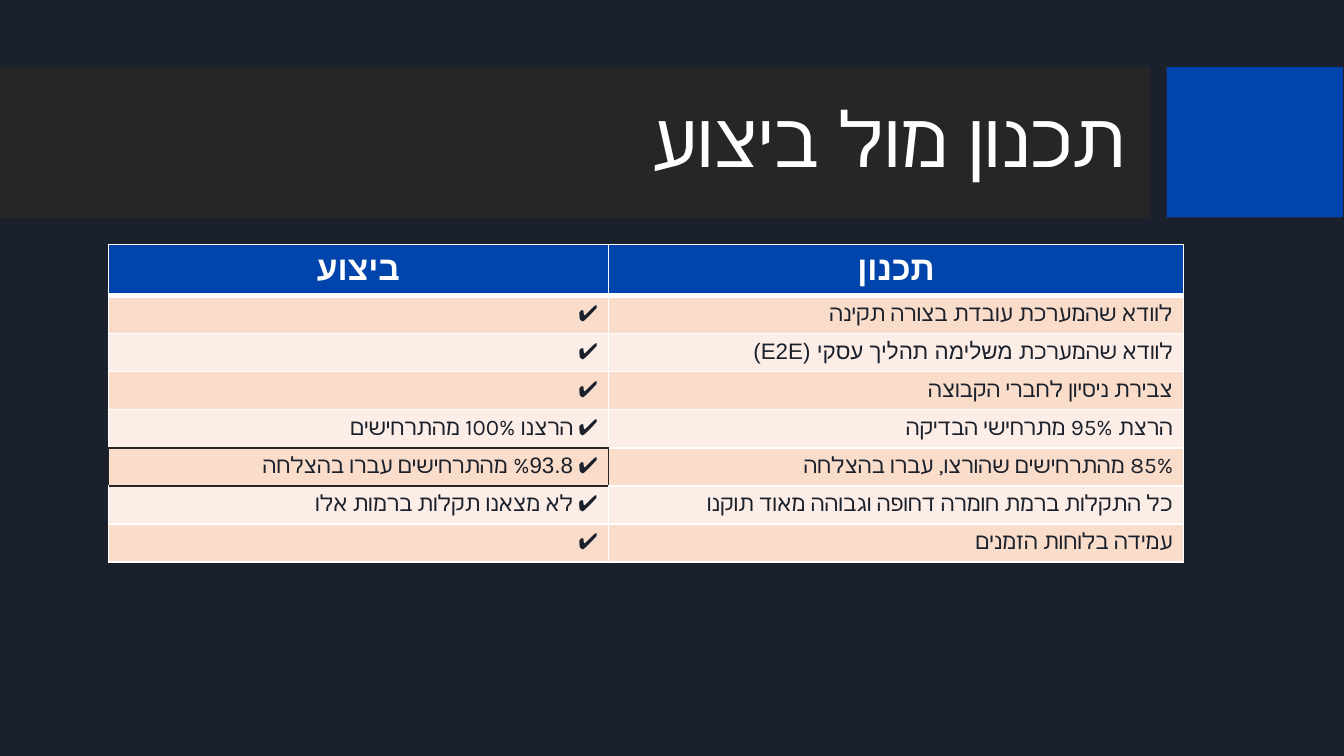
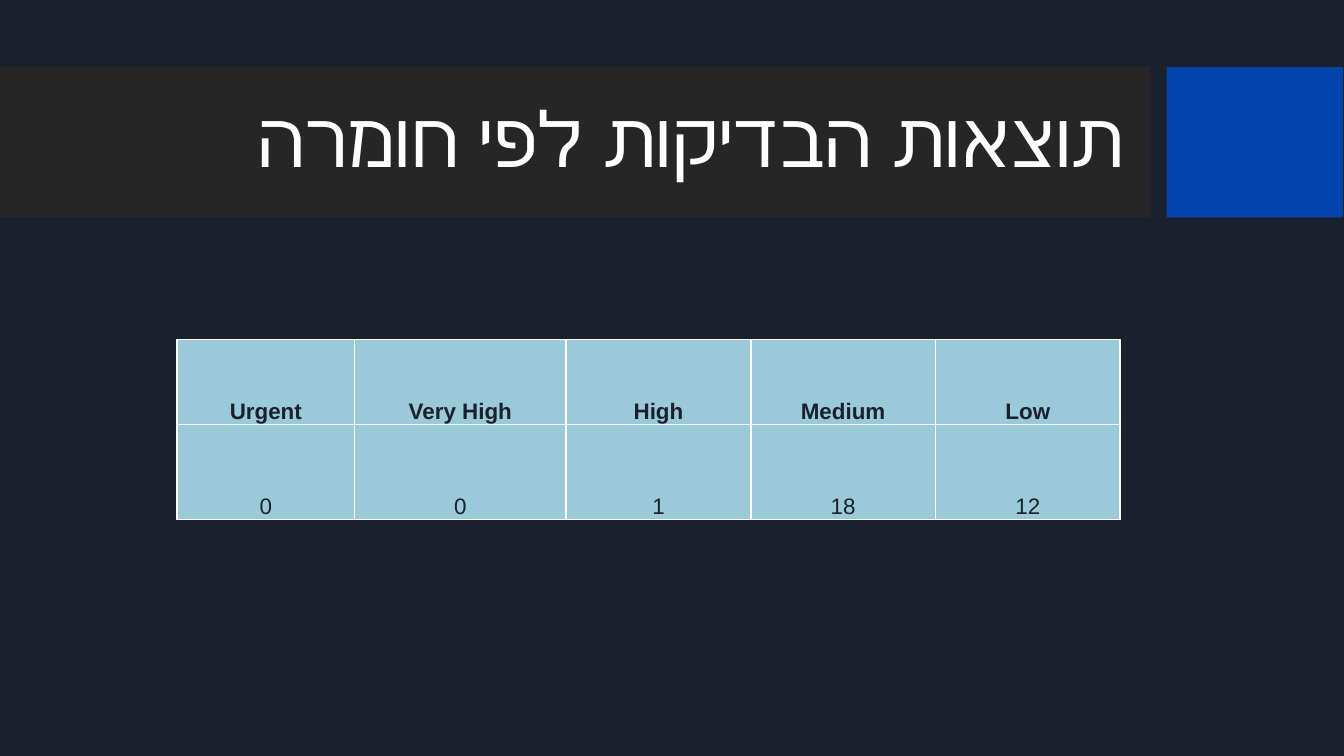
from dataclasses import dataclass
from typing import NamedTuple

from lxml.etree import SubElement
from pptx import Presentation
from pptx.dml.color import RGBColor
from pptx.enum.shapes import MSO_SHAPE
from pptx.enum.text import MSO_ANCHOR, PP_ALIGN
from pptx.oxml.ns import qn
from pptx.slide import Slide
from pptx.table import _Cell
from pptx.text.text import _Paragraph
from pptx.util import Cm, Pt


@dataclass(frozen=True)
class Theme:
    night: str = "1B212C"
    charcoal: str = "262626"
    blue: str = "0145AC"
    white: str = "FFFFFF"
    peach: str = "F9DCCA"
    pale_peach: str = "FCEEE7"
    sky: str = "9AC9D9"
    title_font: str = "Montserrat"
    body_font: str = "Karla"
    plain_font: str = "Arial"
    title_size: int = 41
    header_size: int = 18
    body_size: int = 12
    rule: float = 1
    heavy_rule: float = 3


THEME = Theme()


class Band(NamedTuple):
    left: float
    width: float
    color: str


class Span(NamedTuple):
    text: str
    font: str = THEME.body_font


class Edge(NamedTuple):
    color: str = THEME.white
    width: float = THEME.rule


class Style(NamedTuple):
    size: int
    color: str
    bold: bool = False
    rtl: bool = False
    align: PP_ALIGN = PP_ALIGN.CENTER


class CellLook(NamedTuple):
    fill: str
    style: Style
    margins: tuple[float, float, float, float]
    anchor: MSO_ANCHOR
    edges: dict[str, Edge]


class Grid(NamedTuple):
    left: float
    top: float
    widths: list[float]
    heights: list[float]


BAND_TOP, BAND_HEIGHT = 1.27, 2.84
BANDS = [Band(0, 21.74, THEME.charcoal), Band(22.05, 3.33, THEME.blue)]

TITLE = Style(THEME.title_size, THEME.white, rtl=True, align=PP_ALIGN.RIGHT)
PLAN_HEADER = Style(THEME.header_size, THEME.white, bold=True, rtl=True)
PLAN_BODY = Style(THEME.body_size, THEME.night, rtl=True, align=PP_ALIGN.RIGHT)
SEVERITY_HEADER = Style(THEME.body_size, THEME.night, bold=True)
SEVERITY_COUNT = Style(THEME.body_size, THEME.night)

PLAN_MARGINS = (0.2, 0.1, 0.2, 0.1)
SEVERITY_MARGINS = (0.02, 0.02, 0.02, 0)

CHECK = "✔"
PLAN_HEADINGS = ["ביצוע", "תכנון"]
PLAN_ROWS = [
    ([Span(CHECK)], [Span("לוודא שהמערכת עובדת בצורה תקינה")]),
    ([Span(CHECK)], [Span("לוודא שהמערכת "),
                     Span("משלימה תהליך עסקי (E2E)", THEME.plain_font)]),
    ([Span(CHECK)], [Span("צבירת ניסיון לחברי הקבוצה")]),
    ([Span(f"{CHECK} הרצנו 100% מהתרחישים")], [Span("הרצת 95% מתרחישי הבדיקה")]),
    ([Span(f"{CHECK} %"), Span("93.8", THEME.plain_font), Span(" מהתרחישים עברו בהצלחה")],
     [Span("85% מהתרחישים שהורצו, עברו בהצלחה")]),
    ([Span(f"{CHECK} לא מצאנו תקלות ברמות אלו")],
     [Span("כל התקלות ברמת חומרה דחופה וגבוהה מאוד תוקנו")]),
    ([Span(CHECK)], [Span("עמידה בלוחות הזמנים")]),
]
OUTLINED_ROW = 5
PLAN_GRID = Grid(2.05, 4.62, [9.45, 10.87], [0.91] + [0.72] * len(PLAN_ROWS))

SEVERITIES = {"Urgent": 0, "Very High": 0, "High": 1, "Medium": 18, "Low": 12}
SEVERITY_GRID = Grid(3.35, 6.42, [3.35, 4.0] + [3.49] * 3, [1.6, 1.8])


def rgb(color: str) -> RGBColor:
    return RGBColor.from_string(color)


def write(paragraph: _Paragraph, spans: list[Span], style: Style) -> None:
    paragraph.alignment = style.align
    if style.rtl:
        paragraph._p.get_or_add_pPr().set("rtl", "1")
    for span in spans:
        run = paragraph.add_run()
        run.text = span.text
        run.font.size = Pt(style.size)
        run.font.bold = style.bold
        run.font.color.rgb = rgb(style.color)
        run.font.name = span.font
        SubElement(run._r.get_or_add_rPr(), qn("a:cs"), typeface=span.font)


def add_band(slide: Slide, band: Band) -> None:
    bar = slide.shapes.add_shape(
        MSO_SHAPE.RECTANGLE, Cm(band.left), Cm(BAND_TOP), Cm(band.width), Cm(BAND_HEIGHT))
    bar.shadow.inherit = False
    bar.fill.solid()
    bar.fill.fore_color.rgb = rgb(band.color)
    bar.line.fill.background()


def add_titled_slide(deck: Presentation, title: str) -> Slide:
    slide = deck.slides.add_slide(deck.slide_layouts[6])
    slide.background.fill.solid()
    slide.background.fill.fore_color.rgb = rgb(THEME.night)
    for band in BANDS:
        add_band(slide, band)
    frame = slide.shapes.add_textbox(Cm(1.42), Cm(1.57), Cm(20.04), Cm(2.26)).text_frame
    frame.word_wrap = True
    frame.vertical_anchor = MSO_ANCHOR.MIDDLE
    frame.margin_left = frame.margin_right = Cm(0.19)
    frame.margin_top = frame.margin_bottom = Cm(0.1)
    heading = frame.paragraphs[0]
    heading.line_spacing = 0.9
    write(heading, [Span(title, THEME.title_font)], TITLE)
    return slide


def draw_edges(cell: _Cell, edges: dict[str, Edge]) -> None:
    properties = cell._tc.get_or_add_tcPr()
    for side in "LRTB":
        edge = edges.get(side, Edge())
        line = SubElement(properties, qn(f"a:ln{side}"), w=str(Pt(edge.width)))
        SubElement(SubElement(line, qn("a:solidFill")), qn("a:srgbClr"), val=edge.color)


def fill_cell(cell: _Cell, spans: list[Span], look: CellLook) -> None:
    draw_edges(cell, look.edges)
    cell.fill.solid()
    cell.fill.fore_color.rgb = rgb(look.fill)
    cell.vertical_anchor = look.anchor
    cell.margin_left, cell.margin_top, cell.margin_right, cell.margin_bottom = map(
        Cm, look.margins)
    write(cell.text_frame.paragraphs[0], spans, look.style)


def add_grid(slide: Slide, grid: Grid, rows: list[list[tuple[list[Span], CellLook]]]) -> None:
    table = slide.shapes.add_table(
        len(grid.heights), len(grid.widths), Cm(grid.left), Cm(grid.top),
        Cm(sum(grid.widths)), Cm(sum(grid.heights))).table
    table.first_row = table.horz_banding = False
    for column, width in zip(table.columns, grid.widths):
        column.width = Cm(width)
    for row, height, contents in zip(table.rows, grid.heights, rows):
        row.height = Cm(height)
        for cell, (spans, look) in zip(row.cells, contents):
            fill_cell(cell, spans, look)


def plan_edges(row: int, column: int) -> dict[str, Edge]:
    outline = Edge(THEME.charcoal)
    neighbours = {
        (OUTLINED_ROW, 0): "LRTB",
        (OUTLINED_ROW - 1, 0): "B",
        (OUTLINED_ROW + 1, 0): "T",
        (OUTLINED_ROW, 1): "L",
    }
    return {side: outline for side in neighbours.get((row, column), "")}


def plan_look(row: int, column: int) -> CellLook:
    fill = THEME.peach if row % 2 else THEME.pale_peach
    return CellLook(fill, PLAN_BODY, PLAN_MARGINS, MSO_ANCHOR.TOP, plan_edges(row, column))


def add_plan_slide(deck: Presentation) -> None:
    slide = add_titled_slide(deck, "תכנון מול ביצוע")
    header = CellLook(THEME.blue, PLAN_HEADER, PLAN_MARGINS, MSO_ANCHOR.TOP,
                      {"B": Edge(width=THEME.heavy_rule)})
    rows = [[([Span(heading, THEME.plain_font)], header) for heading in PLAN_HEADINGS]]
    for number, entries in enumerate(PLAN_ROWS, start=1):
        rows.append([(spans, plan_look(number, column))
                     for column, spans in enumerate(entries)])
    add_grid(slide, PLAN_GRID, rows)


def add_severity_slide(deck: Presentation) -> None:
    slide = add_titled_slide(deck, "תוצאות הבדיקות לפי חומרה")
    rows = []
    for values, style in ((SEVERITIES.keys(), SEVERITY_HEADER),
                          (SEVERITIES.values(), SEVERITY_COUNT)):
        look = CellLook(THEME.sky, style, SEVERITY_MARGINS, MSO_ANCHOR.BOTTOM, {})
        rows.append([([Span(str(value), THEME.plain_font)], look) for value in values])
    add_grid(slide, SEVERITY_GRID, rows)


def main() -> None:
    deck = Presentation()
    deck.slide_width, deck.slide_height = Cm(25.4), Cm(14.29)
    add_plan_slide(deck)
    add_severity_slide(deck)
    deck.save("out.pptx")


if __name__ == "__main__":
    main()
